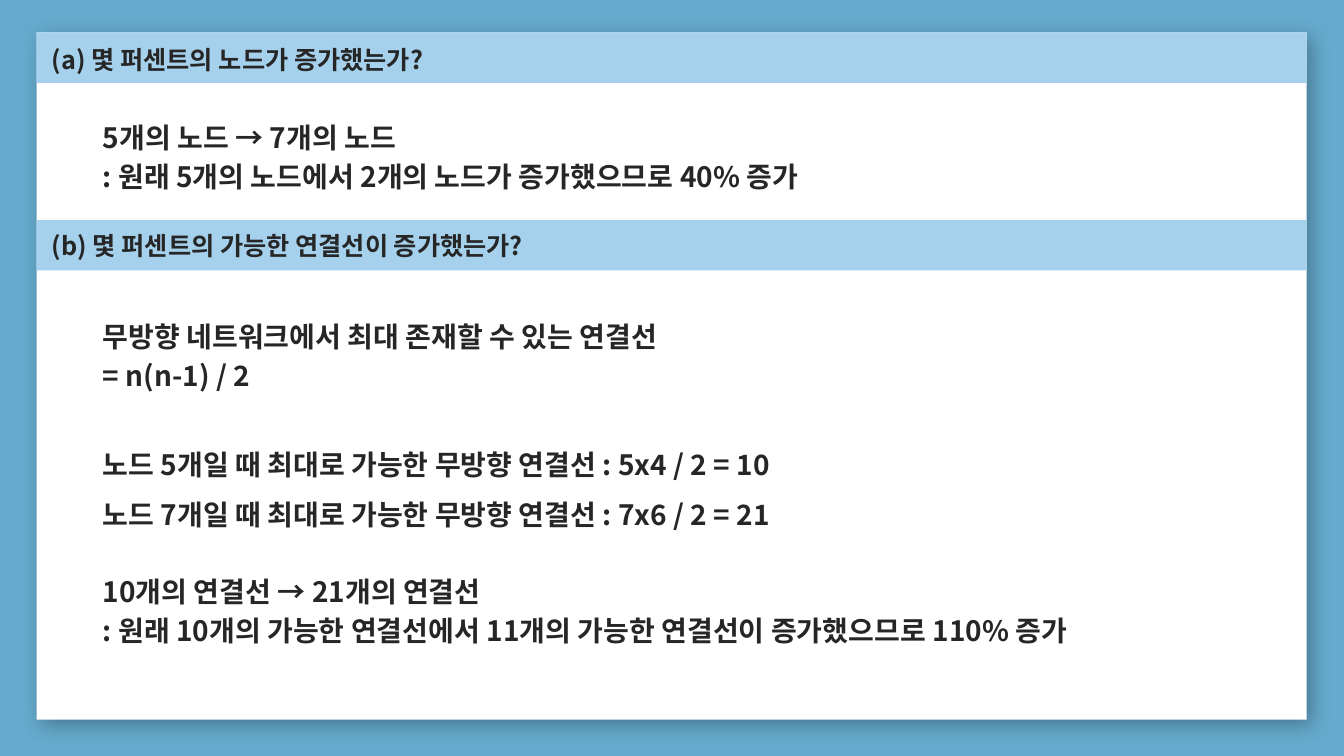
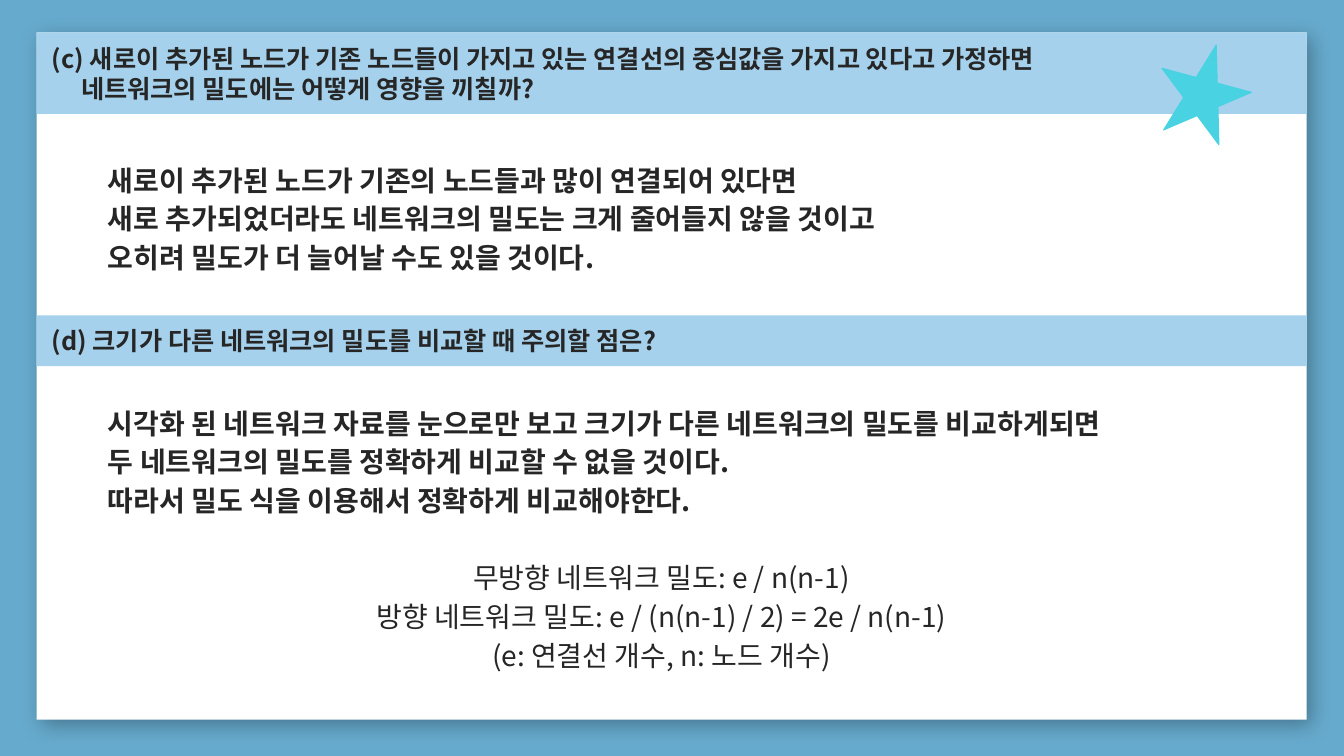
import pptx
import pptx.util
import pptx.dml.color
import pptx.enum.shapes
import pptx.enum.text
import pptx.oxml
import pptx.oxml.ns

Pt = pptx.util.Pt
Inches = pptx.util.Inches
Align = pptx.enum.text.PP_ALIGN
Anchor = pptx.enum.text.MSO_ANCHOR
Shape = pptx.enum.shapes.MSO_SHAPE

deck = pptx.Presentation()
deck.slide_width = Inches(13.33)
deck.slide_height = Inches(7.5)

FACE = "Noto Sans CJK KR"
INK = "262626"
SKY = "66AACD"
BAND = "A5D1EC"
STAR = "49D2E2"
LEFT, WIDE = 2.73, 94.5
TOP, ROW = 4.28, 6.7
HANG = Inches(0.29)
GAP = Pt(27.6)


def tint(fill, code):
    fill.solid()
    fill.fore_color.rgb = pptx.dml.color.RGBColor.from_string(code)


def place(left, top, wide, high):
    return {
        "left": int(deck.slide_width * left / 100),
        "top": int(deck.slide_height * top / 100),
        "width": int(deck.slide_width * wide / 100),
        "height": int(deck.slide_height * high / 100),
    }


HEAD = {
    "frame": {"margin_left": Inches(0.15), "vertical_anchor": Anchor.MIDDLE},
    "para": {"line_spacing": 1.0},
    "font": {"size": Pt(18)},
    "hang": HANG,
}
LOW = {
    **HEAD,
    "frame": {**HEAD["frame"], "margin_top": Inches(0.12), "margin_bottom": Inches(0.08)},
}
BODY = {
    "frame": {"margin_left": Inches(0.1), "vertical_anchor": Anchor.TOP},
    "para": {"line_spacing": 1.15},
    "font": {"size": Pt(20)},
    "hang": 0,
}
PLAIN = {}
AFTER = {"space_before": GAP}
LOOSE = {"line_spacing": 1.5}
FIRST = {**LOOSE, **AFTER}
MID = {"alignment": Align.CENTER}

pages = [
    {
        "left": 6.9,
        "parts": [
            (0, LOW, TOP, ROW, [("(a) 몇 퍼센트의 노드가 증가했는가?", PLAIN)]),
            (2, BODY, 14, 12.4, [
                ("5개의 노드 → 7개의 노드", PLAIN),
                (": 원래 5개의 노드에서 2개의 노드가 증가했으므로 40% 증가", PLAIN),
            ]),
            (3, HEAD, 29.07, ROW, [("(b) 몇 퍼센트의 가능한 연결선이 증가했는가?", PLAIN)]),
            (4, BODY, 40.27, 46.4, [
                ("무방향 네트워크에서 최대 존재할 수 있는 연결선", PLAIN),
                ("= n(n-1) / 2", PLAIN),
                ("노드 5개일 때 최대로 가능한 무방향 연결선 : 5x4 / 2 = 10", FIRST),
                ("노드 7개일 때 최대로 가능한 무방향 연결선 : 7x6 / 2 = 21", LOOSE),
                ("10개의 연결선 → 21개의 연결선", AFTER),
                (": 원래 10개의 가능한 연결선에서 11개의 가능한 연결선이 증가했으므로 110% 증가", PLAIN),
            ]),
        ],
    },
    {
        "left": 7.28,
        "parts": [
            (0, HEAD, TOP, 10.8, [
                ("(c) 새로이 추가된 노드가 기존 노드들이 가지고 있는 연결선의 중심값을 가지고 있다고 가정하면"
                 "\v네트워크의 밀도에는 어떻게 영향을 끼칠까?", PLAIN),
            ]),
            (2, BODY, 19.6, 17.47, [
                ("새로이 추가된 노드가 기존의 노드들과 많이 연결되어 있다면", PLAIN),
                ("새로 추가되었더라도 네트워크의 밀도는 크게 줄어들지 않을 것이고", PLAIN),
                ("오히려 밀도가 더 늘어날 수도 있을 것이다.", PLAIN),
            ]),
            (3, HEAD, 41.73, ROW, [("(d) 크기가 다른 네트워크의 밀도를 비교할 때 주의할 점은?", PLAIN)]),
            (4, BODY, 51.73, 38.13, [
                ("시각화 된 네트워크 자료를 눈으로만 보고 크기가 다른 네트워크의 밀도를 비교하게되면", PLAIN),
                ("두 네트워크의 밀도를 정확하게 비교할 수 없을 것이다.", PLAIN),
                ("따라서 밀도 식을 이용해서 정확하게 비교해야한다.", PLAIN),
                ("무방향 네트워크 밀도: e / n(n-1)", {**MID, **AFTER}),
                ("방향 네트워크 밀도: e / (n(n-1) / 2) = 2e / n(n-1)", MID),
                ("(e: 연결선 개수, n: 노드 개수)", MID),
            ]),
        ],
    },
]

tint(deck.slide_master.background.fill, SKY)
base = deck.slide_layouts[4]
for lay in list(deck.slide_layouts):
    if lay.name != base.name:
        deck.slide_layouts.remove(lay)
for owner, keep in ((deck.slide_master, (0, 1)), (base, (0, 2, 3, 4))):
    for spare in list(owner.placeholders):
        if spare.placeholder_format.idx not in keep:
            owner.shapes._spTree.remove(spare.element)

for page in pages:
    slide = deck.slides.add_slide(base)
    sheet = slide.shapes.add_shape(Shape.RECTANGLE, **place(LEFT, TOP, WIDE, 90.93))
    tint(sheet.fill, "FFFFFF")
    sheet.line.fill.background()
    shade = pptx.oxml.parse_xml(
        f'<a:effectLst {pptx.oxml.ns.nsdecls("a")}>'
        f'<a:outerShdw blurRad="{Pt(15)}" dist="{Pt(6)}" dir="2700000" algn="tl" rotWithShape="0">'
        '<a:srgbClr val="000000"><a:alpha val="30000"/></a:srgbClr>'
        '</a:outerShdw></a:effectLst>'
    )
    sheet.element.spPr.append(shade)
    slide.shapes._spTree.insert(2, sheet.element)

    for idx, kind, top, high, lines in page["parts"]:
        box = slide.placeholders[idx]
        if kind is BODY:
            spot = place(page["left"], top, 83.87, high)
        else:
            spot = place(LEFT, top, WIDE, high)
            tint(box.fill, BAND)
        for name, value in spot.items():
            setattr(box, name, value)

        frame = box.text_frame
        look = {
            "word_wrap": True,
            "auto_size": pptx.enum.text.MSO_AUTO_SIZE.NONE,
            "margin_right": Inches(0.1),
            "margin_top": Inches(0.1),
            "margin_bottom": Inches(0.1),
            **kind["frame"],
        }
        for name, value in look.items():
            setattr(frame, name, value)
        frame.text = "\n".join(text for text, style in lines)

        for para, (text, style) in zip(frame.paragraphs, lines):
            look = {"alignment": Align.LEFT, "space_before": Pt(0), **kind["para"], **style}
            for name, value in look.items():
                setattr(para, name, value)
            prop = para._p.get_or_add_pPr()
            prop.set("marL", str(kind["hang"]))
            prop.set("indent", str(-kind["hang"]))
            prop.append(prop.makeelement(pptx.oxml.ns.qn("a:buNone"), {}))
            bold = "alignment" not in style
            for run in para.runs:
                for name, value in {"name": FACE, "bold": bold, **kind["font"]}.items():
                    setattr(run.font, name, value)
                tint(run.font.fill, INK)
                east = run._r.rPr.makeelement(pptx.oxml.ns.qn("a:ea"), {"typeface": FACE})
                run._r.rPr.find(pptx.oxml.ns.qn("a:latin")).addnext(east)

star = slide.shapes.add_shape(Shape.STAR_5_POINT, **place(86.12, 5.73, 6.9, 12.67))
star.rotation = 15.1
star.shadow.inherit = False
tint(star.fill, STAR)
tint(star.line.fill, STAR)
star.line.width = Pt(0.75)

deck.save("out.pptx")
